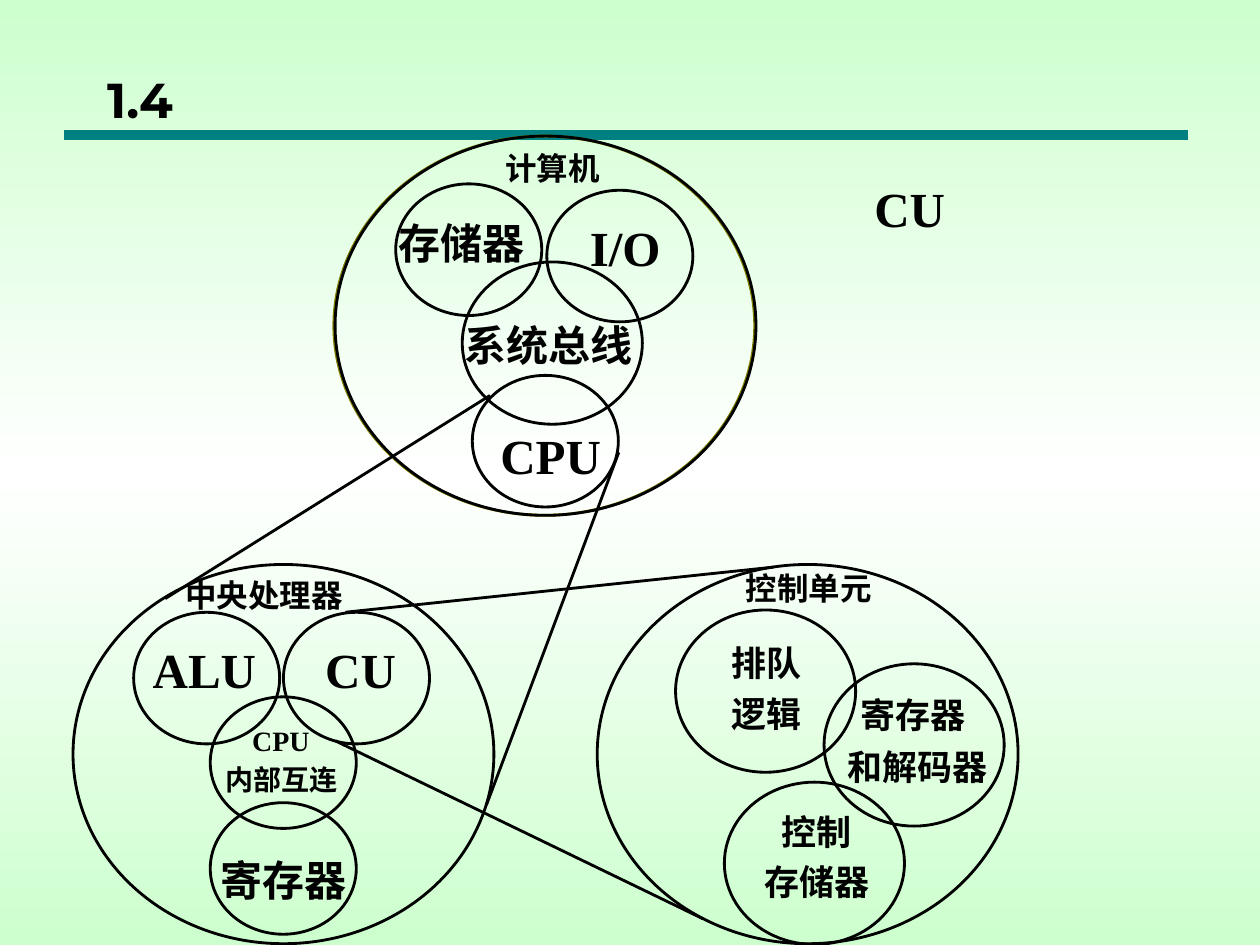
import copy
import pptx
import pptx.util
import pptx.dml.color
import pptx.enum.shapes
import pptx.enum.text
import pptx.oxml
import pptx.oxml.ns

Inches, Pt = pptx.util.Inches, pptx.util.Pt
RGBColor = pptx.dml.color.RGBColor
Align = pptx.enum.text.PP_ALIGN
Anchor = pptx.enum.text.MSO_ANCHOR

BLACK = RGBColor(0, 0, 0)
WHITE = RGBColor(0xFF, 0xFF, 0xFF)
MINT = RGBColor(0xCD, 0xFF, 0xCE)
TEAL = RGBColor(0, 0x80, 0x80)
OLIVE = RGBColor(0x80, 0x80, 0)

LATIN, HAN, HEAD = "Times New Roman", "Noto Sans CJK SC", "Montserrat"
WIDE, HIGH = 3.34, 3.01          # size of each big circle
SMALL, LARGE = 34.7, 42.8        # inner circles, in hundredths of the big one

# Left and top corner of each region
HOST = (2.66, 1.08)
CORE = (0.58, 4.48)
CTRL = (4.74, 4.48)


def spot(box, x, y):
    """Turn hundredths of a region into a place on the slide."""
    return Inches(box[0] + WIDE * x / 100), Inches(box[1] + HIGH * y / 100)


def style(frame, text, size=18, font=None, align=Align.CENTER):
    for i, part in enumerate(text.split("\n")):
        para = frame.paragraphs[0] if i == 0 else frame.add_paragraph()
        para.alignment = align
        para.space_before = Pt(size / 4 if i else 0)
        run = para.add_run()
        run.text = part
        face = font or (LATIN if part.isascii() else HAN)
        run.font.name = face
        run.font.size = Pt(size)
        run.font.bold = True
        run.font.color.rgb = BLACK
        east = pptx.oxml.parse_xml(
            '<a:ea %s typeface="%s"/>' % (pptx.oxml.ns.nsdecls("a"), face))
        run.font._element.append(east)


def label(slide, box, text, x, y, size):
    """Centre text on x, with its top at y."""
    rows = text.count("\n") + 1
    left, top = spot(box, x - 25, y)
    shape = slide.shapes.add_textbox(
        left, top, Inches(WIDE / 2), Pt(size * 1.2 * rows))
    frame = shape.text_frame
    frame.word_wrap = True
    frame.margin_left = frame.margin_right = 0
    frame.margin_top = frame.margin_bottom = 0
    style(frame, text, size=size)


def ring(slide, box, x, y, part=100, color=BLACK):
    left, top = spot(box, x, y)
    shape = slide.shapes.add_shape(
        pptx.enum.shapes.MSO_SHAPE.OVAL, left, top,
        Inches(WIDE * part / 100), Inches(HIGH * part / 100))
    shape.shadow.inherit = False
    shape.fill.background()
    shape.line.color.rgb = color
    shape.line.width = Pt(1.62)


def line(slide, start, end, color=BLACK, width=1.62):
    link = slide.shapes.add_connector(
        pptx.enum.shapes.MSO_CONNECTOR.STRAIGHT, *start, *end)
    link.line.color.rgb = color
    link.line.width = Pt(width)
    link._element.spPr.append(pptx.oxml.parse_xml(
        "<a:effectLst %s/>" % pptx.oxml.ns.nsdecls("a")))


def region(slide, box, rings, labels):
    """Draw a big circle with its inner circles and texts."""
    ring(slide, box, 0, 0)
    for item in rings:
        ring(slide, box, *item)
    for item in labels:
        label(slide, box, *item)


def host(slide, box):
    ring(slide, box, -0.3, 0, color=OLIVE)
    region(slide, box,
           [(14.4, 12.6, SMALL), (50.3, 14.3, SMALL),
            (30.2, 33.2, LARGE), (32.6, 63.1, SMALL)],
           [("计算机", 51.6, 3.3, 18), ("存储器", 30, 21.6, 24),
            ("I/O", 68.9, 21.6, 28), ("系统总线", 50.7, 48.5, 24),
            ("CPU", 51.2, 76.4, 28)])


def core(slide, box):
    region(slide, box,
           [(14.4, 12.6, SMALL), (50, 12.6, SMALL),
            (32.6, 34.9, SMALL), (32.6, 62.8, SMALL)],
           [("中央处理器", 45.4, 3, 18), ("ALU", 31.2, 19.9, 28),
            ("CU", 68.3, 19.9, 28), ("CPU", 49.4, 41.9, 16),
            ("内部互连", 49.5, 52.2, 16), ("寄存器", 50, 76.4, 24)])


def control(slide, box):
    region(slide, box,
           [(18.6, 12, LARGE), (53.9, 26.2, LARGE), (30.2, 57.4, LARGE)],
           [("控制单元", 50.3, 1.3, 18), ("排队\n逻辑", 40.2, 20.3, 20),
            ("寄存器", 75, 33.9, 20), ("和解码器", 76.2, 47.8, 20),
            ("控制\n存储器", 52.2, 64.8, 20)])


def zoom(slide):
    """Join each opened part to the region that shows its inside."""
    for box, start, goal, end in (
            (HOST, (36.8, 68.4), CORE, (21.9, 9)),
            (HOST, (67.4, 83.4), CORE, (98.2, 63.5)),
            (CORE, (62.3, 46.5), CTRL, (25.1, 93.4)),
            (CORE, (64.7, 12.6), CTRL, (41.9, 0.7))):
        line(slide, spot(box, *start), spot(goal, *end))


def back(slide):
    fill = slide.background.fill
    fill.gradient()
    fill.gradient_angle = 90
    stops = slide.element.xpath(".//a:gsLst")[0]
    stops.append(copy.deepcopy(stops[-1]))
    for stop, place, color in zip(
            fill.gradient_stops, (0, 0.5, 1), (MINT, WHITE, MINT)):
        stop.position = place
        stop.color.rgb = color


def header(slide):
    line(slide, (Inches(0.51), Inches(1.07)), (Inches(9.43), Inches(1.07)),
         color=TEAL, width=6)
    title = slide.shapes.title
    title.left, title.top = Inches(0.75), Inches(-0.18)
    title.width, title.height = Inches(8.5), Inches(1.25)
    title.text_frame.vertical_anchor = Anchor.BOTTOM
    style(title.text_frame, "1.4", size=28, font=HEAD, align=Align.LEFT)


def main():
    deck = pptx.Presentation()
    deck.slide_width, deck.slide_height = Inches(10), Inches(7.5)
    slide = deck.slides.add_slide(deck.slide_layouts[5])
    back(slide)
    header(slide)
    host(slide, HOST)
    core(slide, CORE)
    control(slide, CTRL)
    zoom(slide)
    label(slide, HOST, "CU", 136.5, 11.3, 28)
    deck.save("out.pptx")


if __name__ == "__main__":
    main()
